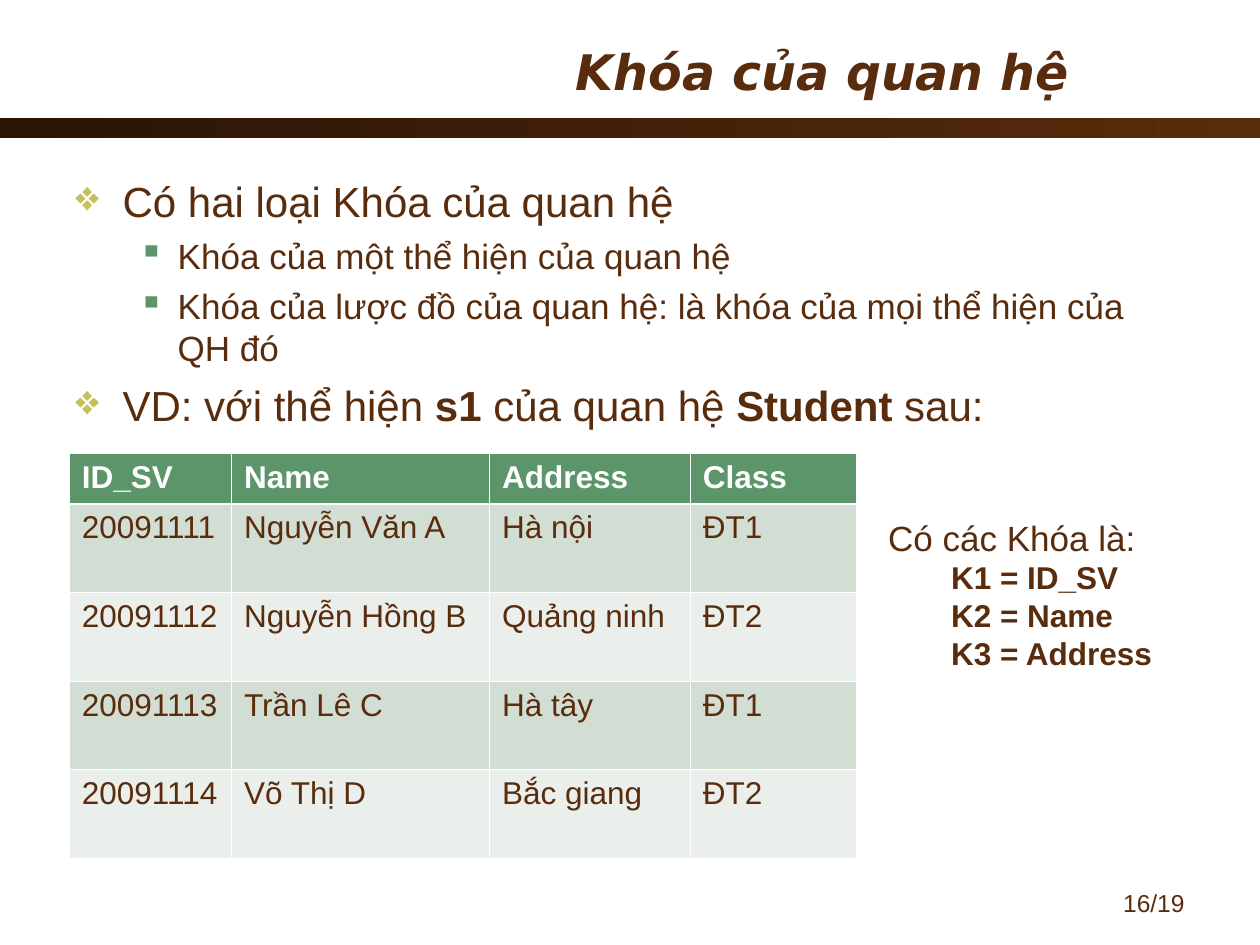
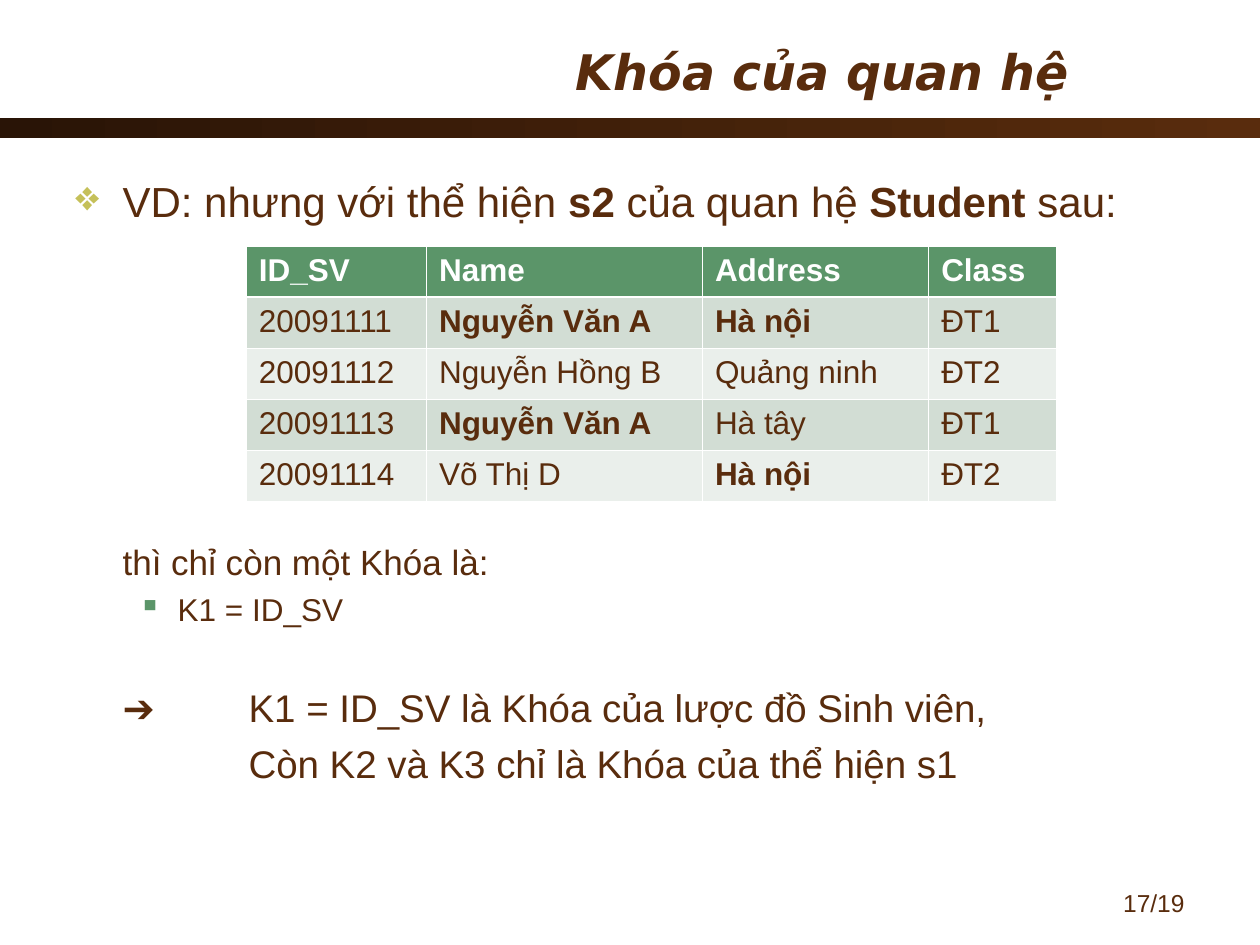
import pptx
import pptx.util
import pptx.dml.color
import pptx.enum.shapes
import pptx.enum.text
import pptx.oxml
import pptx.oxml.ns
import lxml.etree

Pt = pptx.util.Pt
PP = pptx.enum.text.PP_ALIGN
COLORS = {
    "text": "592C0D",
    "dark": "291406",
    "white": "FFFFFF",
    "gold": "C5C059",
    "green": "5B9569",
    "odd_row": "D2DDD4",
    "even_row": "EAEFEB",
}
STYLES = {
    "main": dict(margin=27, indent=-27, bullet=("❖", "gold")),
    "sub": dict(margin=58.5, indent=-22.5, bullet=("▪", "green")),
    "lead": dict(margin=27, indent=0, bullet=None),
    "arrow": dict(margin=99, indent=-72, bullet=None),
    "follow": dict(margin=99, indent=0, bullet=None),
    "plain": dict(margin=0, indent=0, bullet=None),
    "key": dict(margin=36, indent=0, bullet=None),
}
HEADER = ["ID_SV", "Name", "Address", "Class"]


def rgb(name):
    return pptx.dml.color.RGBColor.from_string(COLORS[name])


def add_text(p, runs, size, color="text", font="Arial"):
    for text, bold in runs:
        r = p.add_run()
        r.text = text
        r.font.size = Pt(size)
        r.font.name = font
        r.font.bold = bold
        r.font.color.rgb = rgb(color)


slides = [
    dict(
        number="16/19",
        texts=[
            ((36, 96.5, 648, 401), [
                ("main", 24, 6, [("Có hai loại Khóa của quan hệ", False)]),
                ("sub", 20, 5, [("Khóa của một thể hiện của quan hệ", False)]),
                ("sub", 20, 5, [("Khóa của lược đồ của quan hệ: là khóa của mọi thể hiện của QH đó", False)]),
                ("main", 24, 6, [("VD: với thể hiện ", False), ("s1", True), (" của quan hệ ", False),
                                 ("Student ", True), ("sau:", False)]),
            ]),
            ((500.4, 291.6, 180, 96.5), [
                ("plain", 20, 0, [("Có các Khóa là:", False)]),
                ("key", 18, 0, [("K1 = ID_SV", True)]),
                ("key", 18, 0, [("K2 = Name", True)]),
                ("key", 18, 0, [("K3 = Address", True)]),
            ]),
        ],
        table_at=(39.6, 259.2),
        widths=[92.7, 147.5, 114.7, 95],
        heights=[28.8] + [50.6] * 4,
        rows=[
            ["20091111", "Nguyễn Văn A", "Hà nội", "ĐT1"],
            ["20091112", "Nguyễn Hồng B", "Quảng ninh", "ĐT2"],
            ["20091113", "Trần Lê C", "Hà tây", "ĐT1"],
            ["20091114", "Võ Thị D", "Bắc giang", "ĐT2"],
        ],
        bold_values=[],
    ),
    dict(
        number="17/19",
        texts=[
            ((36, 96.5, 648, 401), [
                ("main", 24, 6, [("VD: nhưng với thể hiện ", False), ("s2", True), (" của quan hệ ", False),
                                 ("Student ", True), ("sau:", False)]),
                ("lead", 20, 180, [("thì chỉ còn một Khóa là:", False)]),
                ("sub", 18, 4.5, [("K1 = ID_SV", False)]),
                ("arrow", 22, 32, [("➔\tK1 = ID_SV là Khóa của lược đồ Sinh viên,", False)]),
                ("follow", 22, 5.5, [("Còn K2 và K3 chỉ là Khóa của thể hiện s1", False)]),
            ]),
        ],
        table_at=(140.7, 140.7),
        widths=[103, 157.7, 129.3, 73],
        heights=[29.2] * 5,
        rows=[
            ["20091111", "Nguyễn Văn A", "Hà nội", "ĐT1"],
            ["20091112", "Nguyễn Hồng B", "Quảng ninh", "ĐT2"],
            ["20091113", "Nguyễn Văn A", "Hà tây", "ĐT1"],
            ["20091114", "Võ Thị D", "Hà nội", "ĐT2"],
        ],
        bold_values=["Nguyễn Văn A", "Hà nội"],
    ),
]

prs = pptx.Presentation()
prs.slide_width, prs.slide_height = Pt(720), Pt(540)

for content in slides:
    s = prs.slides.add_slide(prs.slide_layouts[5])

    band = s.shapes.add_shape(pptx.enum.shapes.MSO_SHAPE.RECTANGLE, Pt(0), Pt(67.5), Pt(720), Pt(11.5))
    band.shadow.inherit = False
    band.line.fill.background()
    band.fill.gradient()
    band.fill.gradient_angle = 0
    for stop, name in zip(band.fill.gradient_stops, ["dark", "text"]):
        stop.color.rgb = rgb(name)

    title = s.shapes.title
    title.left, title.top, title.width, title.height = Pt(36), Pt(18), Pt(582), Pt(45)
    tf = title.text_frame
    tf.vertical_anchor = pptx.enum.text.MSO_ANCHOR.MIDDLE
    tf.auto_size = pptx.enum.text.MSO_AUTO_SIZE.NONE
    p = tf.paragraphs[0]
    p.alignment = PP.RIGHT
    add_text(p, [("Khóa của quan hệ", True)], 28, font="DejaVu Sans")
    p.runs[0].font.italic = True

    for box, paragraphs in content["texts"]:
        sp = s.shapes.add_textbox(*[Pt(v) for v in box])
        tf = sp.text_frame
        tf.word_wrap = True
        for i, (style, size, before, runs) in enumerate(paragraphs):
            p = tf.add_paragraph() if i else tf.paragraphs[0]
            p.space_before = Pt(before)
            add_text(p, runs, size)
            look = STYLES[style]
            pPr = p._p.get_or_add_pPr()
            pPr.set("marL", str(Pt(look["margin"])))
            pPr.set("indent", str(Pt(look["indent"])))
            if look["bullet"]:
                char, color = look["bullet"]
                buClr = lxml.etree.SubElement(pPr, pptx.oxml.ns.qn("a:buClr"))
                lxml.etree.SubElement(buClr, pptx.oxml.ns.qn("a:srgbClr"), val=COLORS[color])
                lxml.etree.SubElement(pPr, pptx.oxml.ns.qn("a:buChar"), char=char)

    sp = s.shapes.add_textbox(Pt(516), Pt(504), Pt(168), Pt(25))
    sp.text_frame.word_wrap = True
    p = sp.text_frame.paragraphs[0]
    p.alignment = PP.RIGHT
    add_text(p, [(content["number"], False)], 14)

    rows = [HEADER] + content["rows"]
    widths, heights = content["widths"], content["heights"]
    left, top = content["table_at"]
    table = s.shapes.add_table(len(rows), len(HEADER), Pt(left), Pt(top), Pt(sum(widths)), Pt(sum(heights))).table
    for column, width in zip(table.columns, widths):
        column.width = Pt(width)
    for i, values in enumerate(rows):
        table.rows[i].height = Pt(heights[i])
        for j, value in enumerate(values):
            cell = table.cell(i, j)
            bold = i == 0 or value in content["bold_values"]
            add_text(cell.text_frame.paragraphs[0], [(value, bold)], 18, "text" if i else "white")
            tcPr = cell._tc.get_or_add_tcPr()
            for side in ["lnL", "lnR", "lnT", "lnB"]:
                thick = (i, side) in [(0, "lnB"), (1, "lnT")]
                ln = lxml.etree.SubElement(tcPr, pptx.oxml.ns.qn("a:" + side), w=str(Pt(1.47 if thick else 0.45)))
                fill = lxml.etree.SubElement(ln, pptx.oxml.ns.qn("a:solidFill"))
                lxml.etree.SubElement(fill, pptx.oxml.ns.qn("a:srgbClr"), val=COLORS["white"])
            cell.fill.solid()
            cell.fill.fore_color.rgb = rgb("green" if i == 0 else "odd_row" if i % 2 else "even_row")

prs.save("out.pptx")
